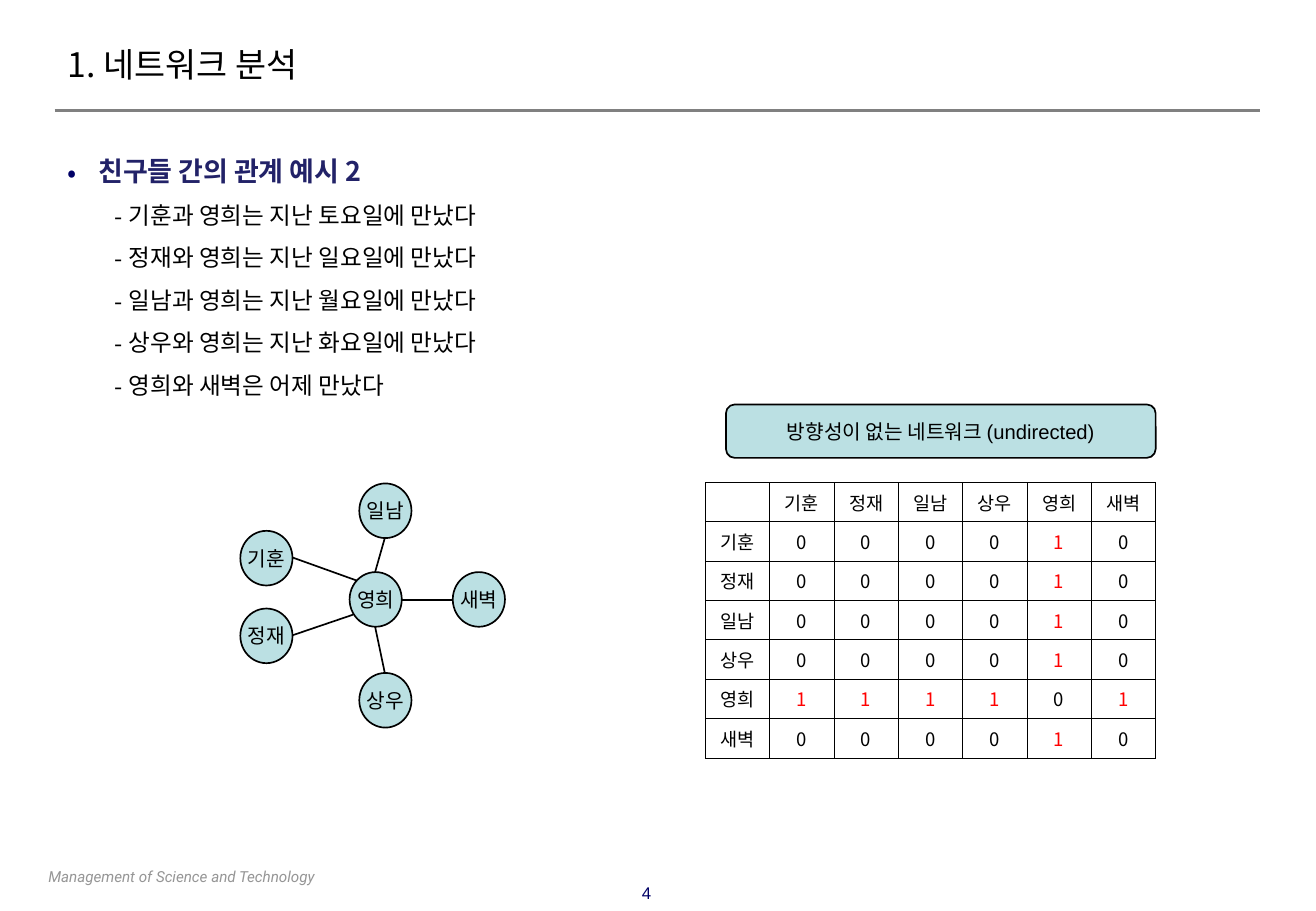
import pptx
import pptx.dml.color
import pptx.enum.shapes
import pptx.enum.text
import pptx.oxml.ns
import pptx.util
from lxml import etree

COLORS = {"black": "000000", "gray": "808080", "footer": "969696",
          "navy": "000066", "heading": "222268", "teal": "BBE0E3", "red": "FF0000"}
KOREAN = "Noto Sans CJK KR"
PX = 9144  # 100 px to the inch
ALIGN = pptx.enum.text.PP_ALIGN
MIDDLE = pptx.enum.text.MSO_ANCHOR.MIDDLE
SHAPES = pptx.enum.shapes.MSO_SHAPE


def px(*lengths):
    return [pptx.util.Emu(length * PX) for length in lengths]


def rgb(name):
    return pptx.dml.color.RGBColor.from_string(COLORS[name])


def add_xml(parent, tag, **attributes):
    return etree.SubElement(parent, pptx.oxml.ns.qn(tag), **attributes)


class SlideBuilder:
    def __init__(self, page):
        self.page = page

    def style(self, para, size, color="black", font=KOREAN, bold=False, italic=False):
        for span in para.runs:
            span.font.size = pptx.util.Pt(size)
            span.font.name = font
            span.font.bold = bold
            span.font.italic = italic
            span.font.color.rgb = rgb(color)
            add_xml(span.font._element, "a:ea", typeface=KOREAN)

    def frame(self, bounds, inset):
        """Add a wrapping text box and return its text frame."""
        frame = self.page.shapes.add_textbox(*px(*bounds)).text_frame
        frame.word_wrap = True
        frame.margin_left, frame.margin_right = px(inset, inset)
        return frame

    def text(self, bounds, words, size, align=ALIGN.LEFT, inset=10, **look):
        para = self.frame(bounds, inset).paragraphs[0]
        para.text = words
        para.alignment = align
        self.style(para, size, **look)

    def bullet(self, para, mark, color, left, hang):
        properties = para._p.get_or_add_pPr()
        properties.set("marL", str(left * PX))
        properties.set("indent", str(-hang * PX))
        add_xml(add_xml(properties, "a:buClr"), "a:srgbClr", val=COLORS[color])
        add_xml(properties, "a:buFont", typeface=KOREAN)
        add_xml(properties, "a:buChar", char=mark)

    def outline(self, bounds, heading, items):
        frame = self.frame(bounds, 11)
        frame.text = "\n".join([heading, *items])
        first, *rest = frame.paragraphs
        self.bullet(first, "•", "navy", 25, 25)
        first.line_spacing = pptx.util.Pt(30)
        self.style(first, 16, "heading", bold=True)
        for para in rest:
            para.level = 1
            self.bullet(para, "-", "black", 50, 12)
            para.line_spacing = pptx.util.Pt(25.2)
            self.style(para, 14)

    def shape(self, kind, bounds, words):
        shape = self.page.shapes.add_shape(kind, *px(*bounds))
        shape.shadow.inherit = False
        shape.fill.solid()
        shape.fill.fore_color.rgb = rgb("teal")
        shape.line.color.rgb = rgb("black")
        shape.line.width = pptx.util.Pt(1)
        frame = shape.text_frame
        frame.text = words
        frame.word_wrap = False
        frame.vertical_anchor = MIDDLE
        frame.margin_left = frame.margin_right = 0
        frame.paragraphs[0].alignment = ALIGN.CENTER
        self.style(frame.paragraphs[0], 12, font="Arial")

    def line(self, start, end, color="black", width=1):
        line = self.page.shapes.add_connector(
            pptx.enum.shapes.MSO_CONNECTOR.STRAIGHT, *px(*start, *end))
        line.line.color.rgb = rgb(color)
        line.line.width = pptx.util.Pt(width)
        add_xml(line._element.spPr, "a:effectLst")

    def cell(self, cell, words):
        cell.text = words
        cell.vertical_anchor = MIDDLE
        cell.margin_top = cell.margin_bottom = 0
        para = cell.text_frame.paragraphs[0]
        para.alignment = ALIGN.CENTER
        self.style(para, 11, "red" if words == "1" else "black")
        properties = cell._tc.get_or_add_tcPr()
        for side in ("a:lnL", "a:lnR", "a:lnT", "a:lnB"):
            border = add_xml(properties, side, w=str(pptx.util.Pt(0.28)))
            add_xml(add_xml(border, "a:solidFill"), "a:srgbClr", val=COLORS["black"])
        cell.fill.background()

    def table(self, bounds, rows):
        table = self.page.shapes.add_table(len(rows), len(rows[0]), *px(*bounds)).table
        table.first_row = table.horz_banding = False
        for row, values in enumerate(rows):
            for column, words in enumerate(values):
                self.cell(table.cell(row, column), words)


def adjacency(names, hub):
    """Matrix with headings, where everyone is linked to the hub only."""
    rows = [["", *names]]
    for person in names:
        links = [str(int(person != other and hub in (person, other))) for other in names]
        rows.append([person, *links])
    return rows


def main():
    deck = pptx.Presentation()
    deck.slide_width, deck.slide_height = px(1084, 750)
    slide = SlideBuilder(deck.slides.add_slide(deck.slide_layouts[6]))

    slide.line((45, 91), (1038, 91), "gray", 2)
    slide.text((30, 709, 394, 25), "Management of Science and Technology", 9,
               color="footer", font="Roboto", italic=True)
    slide.text((45, 31, 803, 49), "1. 네트워크 분석", 20, inset=11)
    slide.outline((45, 107, 992, 582), "친구들 간의 관계 예시 2", [
        "기훈과 영희는 지난 토요일에 만났다",
        "정재와 영희는 지난 일요일에 만났다",
        "일남과 영희는 지난 월요일에 만났다",
        "상우와 영희는 지난 화요일에 만났다",
        "영희와 새벽은 어제 만났다",
    ])
    slide.text((502, 722, 61, 27), "4", 10, ALIGN.CENTER, color="navy", font="Arial")

    nodes = {"기훈": (198, 437), "정재": (198, 501), "일남": (296, 398),
             "상우": (296, 554), "영희": (288, 471), "새벽": (373, 471)}
    edges = [((317, 443), (309, 471)), ((241, 459), (294, 478)),
             ((241, 523), (291, 506)), ((317, 554), (309, 516)),
             ((331, 494), (374, 494))]
    for start, end in edges:
        slide.line(start, end)
    for name, corner in nodes.items():
        slide.shape(SHAPES.OVAL, (*corner, 43, 45), name)

    slide.table((581, 397, 371, 227), adjacency(list(nodes), "영희"))
    slide.shape(SHAPES.ROUNDED_RECTANGLE, (598, 333, 354, 44),
                "방향성이 없는 네트워크 (undirected)")
    deck.save("out.pptx")


if __name__ == "__main__":
    main()
